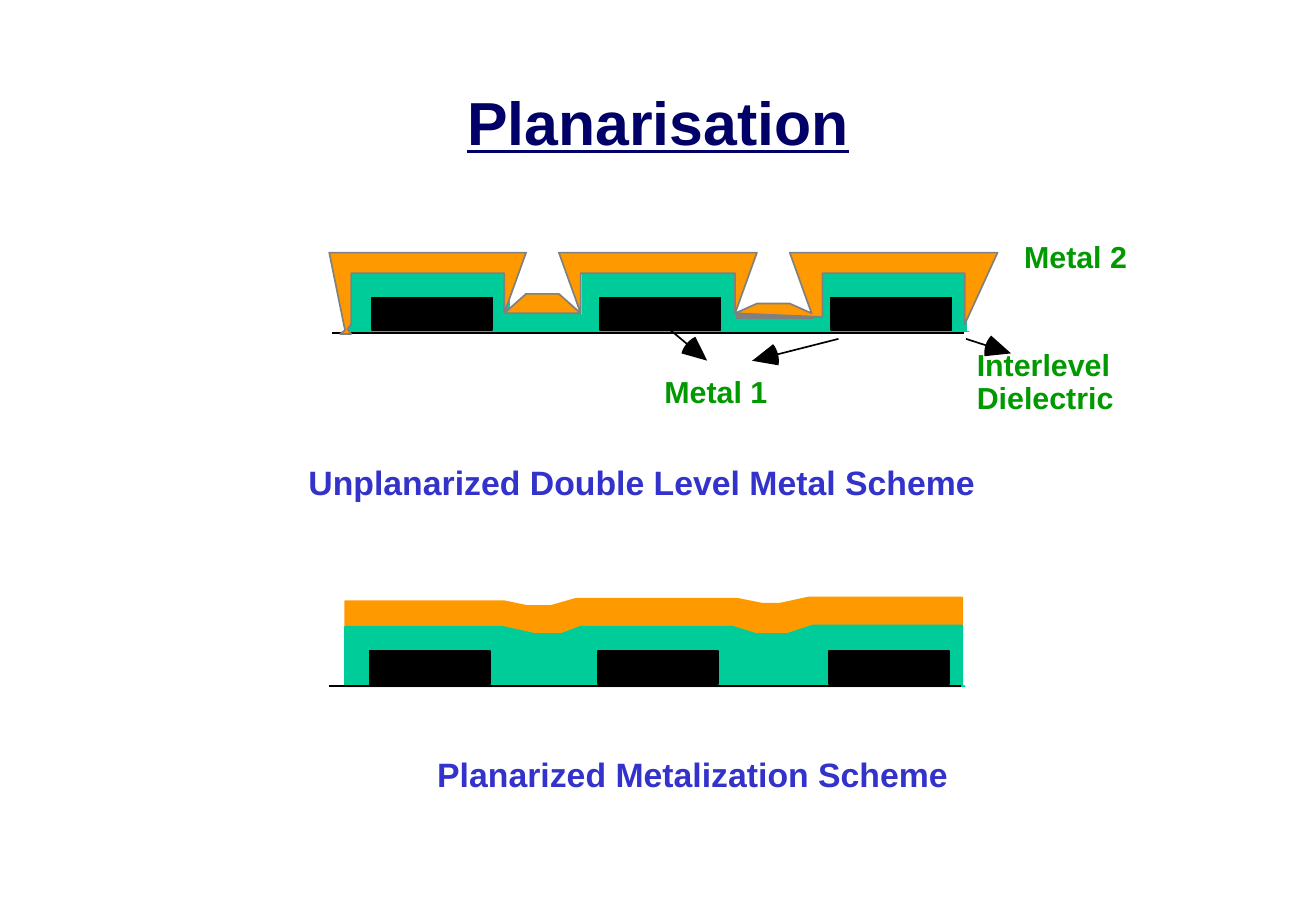
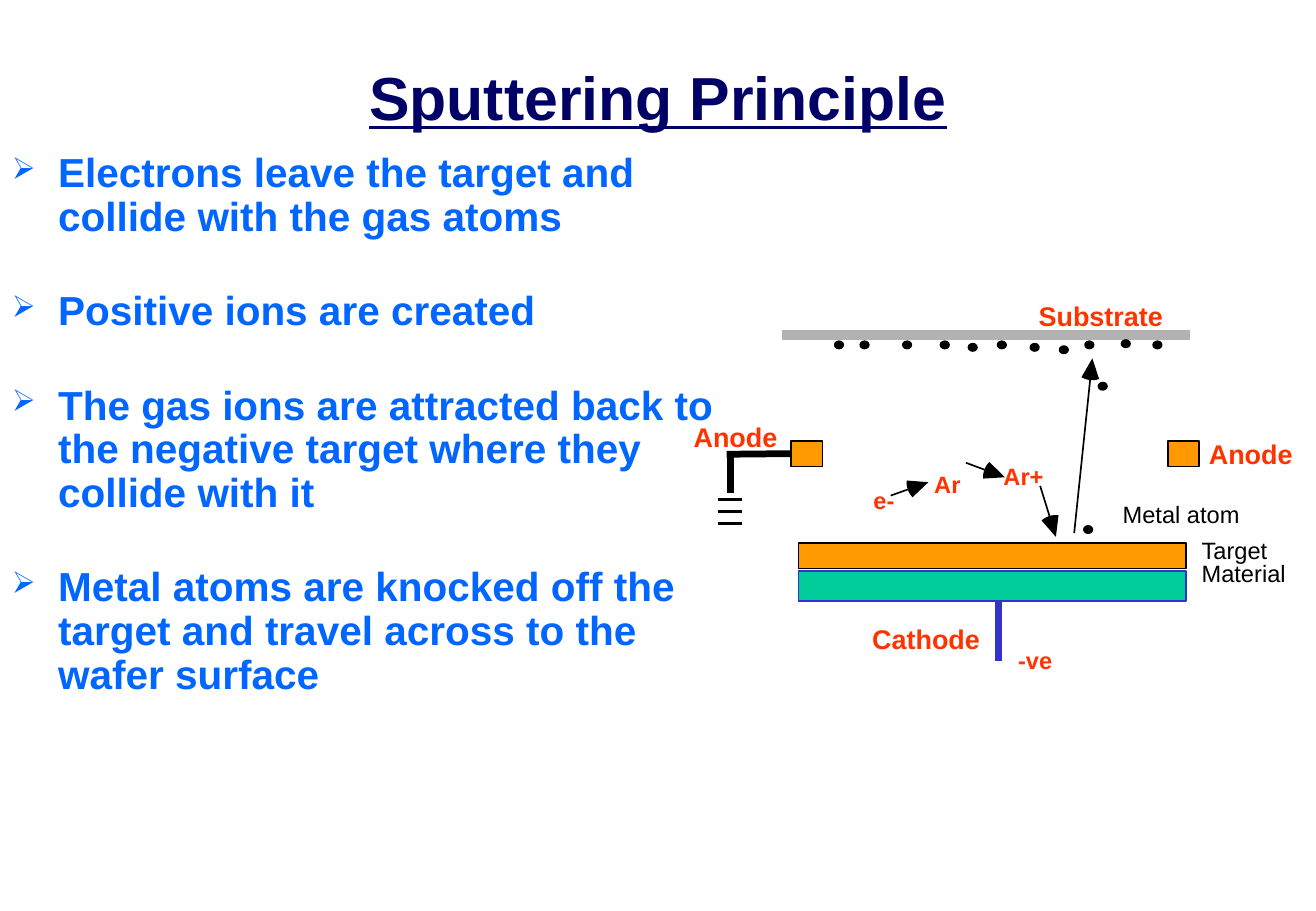
from dataclasses import dataclass
from math import atan2, cos, radians, sin

from lxml import etree
from pptx import Presentation
from pptx.dml.color import RGBColor
from pptx.enum.shapes import MSO_CONNECTOR, MSO_SHAPE
from pptx.enum.text import MSO_ANCHOR, PP_ALIGN
from pptx.oxml.ns import qn
from pptx.util import Inches, Pt

RECT, OVAL = MSO_SHAPE.RECTANGLE, MSO_SHAPE.OVAL
LINE = MSO_CONNECTOR.STRAIGHT
MIDDLE, CENTER = MSO_ANCHOR.MIDDLE, PP_ALIGN.CENTER
LEFT_SIDE = 1


@dataclass(frozen=True)
class Theme:
    font: str = "Arial"
    navy: str = "000066"
    blue: str = "0066FF"
    indigo: str = "3333CC"
    green: str = "009900"
    teal: str = "00CC99"
    orange: str = "FF9900"
    red: str = "FF3300"
    black: str = "000000"
    gray: str = "808080"
    silver: str = "B2B2B2"
    title: int = 36
    body: int = 24
    caption: int = 20
    label: int = 18
    medium: int = 16
    small: int = 14


T = Theme()


def rgb(code):
    return RGBColor.from_string(code)


def write(para, text, size, color, bold=True, under=False):
    run = para.add_run()
    run.text = text
    font = run.font
    font.name, font.size, font.bold = T.font, Pt(size), bold
    if under:
        font.underline = True
    font.color.rgb = rgb(color)


class Area:
    """A region of a slide; lengths are inches from its top left corner."""

    def __init__(self, slide, left, top):
        self.shapes, self.left, self.top = slide.shapes, left, top

    def spot(self, x, y):
        return Inches(self.left + x), Inches(self.top + y)

    def paint(self, shape, fill, edge):
        shape.shadow.inherit = False
        shape.fill.solid()
        shape.fill.fore_color.rgb = rgb(fill)
        shape.line.color.rgb = rgb(edge or fill)
        shape.line.width = Pt(1)
        return shape

    def box(self, x, y, wide, high, fill, edge=None, kind=RECT):
        shape = self.shapes.add_shape(
            kind, *self.spot(x, y), Inches(wide), Inches(high))
        return self.paint(shape, fill, edge)

    def film(self, points, fill, edge=None):
        """Draw a closed outline through the points."""
        spots = [self.spot(*point) for point in points]
        pen = self.shapes.build_freeform(*spots[0])
        pen.add_line_segments(spots[1:], close=True)
        return self.paint(pen.convert_to_shape(), fill, edge)

    def wire(self, start, end, color=T.black, width=1):
        line = self.shapes.add_connector(
            LINE, *self.spot(*start), *self.spot(*end))
        line.line.color.rgb = rgb(color)
        line.line.width = Pt(width)
        props = line._element.spPr
        etree.SubElement(props, qn("a:effectLst"))
        return line

    def arrow(self, start, tip, reach):
        """Draw a line with a wide, round-backed head of length reach."""
        x, y = tip
        angle = atan2(start[1] - y, start[0] - x)

        def back(turn, far):
            way = angle + radians(turn)
            return x + far * cos(way), y + far * sin(way)

        arc = [back(turn, reach) for turn in range(-24, 25, 6)]
        head = self.film([tip] + arc, T.black)
        head.line.fill.background()
        self.wire(start, back(0, reach / 3))

    def frame(self, x, y, wide, high):
        place = self.shapes.add_textbox(
            *self.spot(x, y), Inches(wide), Inches(high))
        place.text_frame.word_wrap = True
        return place.text_frame

    def label(self, text, x, y, wide, size, color, bold=True):
        frame = self.frame(x, y, wide, 0.4)
        write(frame.paragraphs[0], text, size, color, bold)


def title(slide, text, top):
    frame = Area(slide, 0.45, top).frame(0, 0, 9.93, 1.25)
    frame.vertical_anchor = MIDDLE
    para = frame.paragraphs[0]
    para.alignment = CENTER
    write(para, text, T.title, T.navy, under=True)


def bullet(para):
    props = para._p.get_or_add_pPr()
    indent = Inches(0.38)
    props.set("marL", str(indent))
    props.set("indent", str(-indent))
    tint = etree.SubElement(props, qn("a:buClr"))
    etree.SubElement(tint, qn("a:srgbClr"), val=T.blue)
    etree.SubElement(props, qn("a:buSzPct"), val="75000")
    etree.SubElement(props, qn("a:buChar"), char="➢")


def points(slide, left, top, texts):
    frame = Area(slide, left, top).frame(0, 0, 6, 4.92)
    for i, text in enumerate(texts):
        para = frame.add_paragraph() if i else frame.paragraphs[0]
        bullet(para)
        para.line_spacing = 0.9
        if i:
            para.space_before = Pt(30)
        write(para, text, T.body, T.blue)


def metal(area, x, floor):
    """Draw the wafer line and the three first-level metal blocks."""
    area.wire((x, floor), (x + 5.2, floor))
    for step in (0.33, 2.21, 4.11):
        area.box(x + step, floor - 0.29, 0.99, 0.27, T.black)


def rough(slide, left, top):
    """Draw the scheme without planarisation."""
    area = Area(slide, left, top)
    area.box(3.35, 0.59, 0.71, 0.07, T.gray)
    area.film([
        (0.16, 0.73), (0.16, 0.26), (1.49, 0.26), (1.49, 0.59),
        (2.1, 0.59), (2.1, 0.24), (3.35, 0.24), (3.35, 0.63),
        (4.01, 0.63), (4.01, 0.23), (5.25, 0.23), (5.25, 0.73),
        (5.27, 0.73)], T.teal)
    metal(area, 0.03, 0.74)
    for text, x, y in (
            ("Metal 2", 5.63, -0.09), ("Metal 1", 2.67, 1.02),
            ("Interlevel", 5.24, 0.8), ("Dielectric", 5.24, 1.07)):
        area.label(text, x, y, 1.5, T.label, T.green)
    for start, tip in (
            ((2.82, 0.72), (3.12, 0.97)),
            ((4.2, 0.79), (3.49, 0.97)),
            ((5.25, 0.79), (5.62, 0.91))):
        area.arrow(start, tip, 0.22)
    area.label("Unplanarized Double Level Metal Scheme",
               -0.26, 1.75, 6.23, T.caption, T.indigo)
    area.film([
        (0.1, 0.75), (0.14, 0.72), (0.01, 0.08), (1.63, 0.08),
        (1.45, 0.58), (1.63, 0.42), (1.9, 0.42), (2.08, 0.58),
        (1.9, 0.08), (3.53, 0.08), (3.35, 0.58), (3.53, 0.5),
        (3.8, 0.5), (3.98, 0.58), (3.8, 0.08), (5.51, 0.08),
        (5.24, 0.67), (5.24, 0.25), (4.07, 0.25), (4.07, 0.61),
        (3.35, 0.58), (3.35, 0.25), (2.08, 0.25), (2.08, 0.58),
        (1.45, 0.58), (1.45, 0.25), (0.19, 0.25), (0.19, 0.67),
        (0.16, 0.71), (0.19, 0.75)], T.orange, T.gray)


def smooth(slide, left, top):
    """Draw the planarized scheme."""
    area = Area(slide, left, top)
    area.film([
        (0.14, 0.36), (0.14, 0.05), (1.45, 0.05), (1.64, 0.09),
        (1.83, 0.09), (2.04, 0.03), (3.37, 0.03), (3.57, 0.07),
        (3.72, 0.07), (3.95, 0.02), (5.22, 0.02), (5.22, 0.36)],
        T.orange)
    area.film([
        (0.14, 0.75), (0.14, 0.26), (1.43, 0.26), (1.7, 0.32),
        (1.92, 0.32), (2.08, 0.26), (3.33, 0.26), (3.52, 0.32),
        (3.78, 0.32), (3.99, 0.25), (5.22, 0.25), (5.22, 0.75),
        (5.24, 0.75)], T.teal)
    metal(area, 0.01, 0.75)
    area.label("Planarized Metalization Scheme",
               0.8, 1.26, 4.6, T.caption, T.indigo)


def ground(area, anode):
    lead = area.wire((0.91, 1.34), (0.38, 1.34), width=4)
    lead.begin_connect(anode, LEFT_SIDE)
    area.wire((0.41, 1.32), (0.41, 1.66), width=4)
    for i in range(3):
        y = 1.71 + 0.1 * i
        area.wire((0.31, y), (0.51, y), width=2)


def chamber(slide, left, top):
    area = Area(slide, left, top)
    area.box(0.97, 2.3, 3.19, 0.25, T.teal, T.indigo)
    area.box(0.97, 2.07, 3.19, 0.21, T.orange, T.black)
    anodes = [area.box(x, 1.23, 0.26, 0.21, T.orange, T.black)
              for x in (0.91, 4.01)]
    area.box(0.84, 0.32, 3.35, 0.07, T.silver)
    area.wire((2.62, 2.56), (2.62, 3.04), T.indigo, 4)
    ground(area, anodes[0])
    for start, tip in (
            ((1.73, 1.68), (2.04, 1.57)),
            ((2.35, 1.41), (2.67, 1.53)),
            ((3.24, 1.99), (3.39, 0.55)),
            ((2.96, 1.6), (3.09, 2.02))):
        area.arrow(start, tip, 0.18)
    for x, y in (
            (1.27, 0.41), (1.48, 0.41), (1.83, 0.41), (2.14, 0.41),
            (2.37, 0.43), (2.61, 0.41), (2.88, 0.43), (3.12, 0.45),
            (3.33, 0.41), (3.63, 0.4), (3.89, 0.41), (3.44, 0.75),
            (3.32, 1.93)):
        area.box(x, y, 0.07, 0.06, T.black, kind=OVAL)
    for text, x, y, wide in (
            ("Anode", 4.25, 1.15, 0.95), ("Anode", 0.01, 1.01, 0.95),
            ("Cathode", 1.48, 2.68, 1.2), ("Substrate", 2.85, 0.02, 1.3)):
        area.label(text, x, y, wide, T.medium, T.red)
    for text, x, y in (
            ("-ve", 2.68, 2.87), ("e-", 1.49, 1.55),
            ("Ar", 1.99, 1.42), ("Ar+", 2.56, 1.35)):
        area.label(text, x, y, 0.7, T.small, T.red)
    for text, x, y, wide in (
            ("Metal atom", 3.54, 1.67, 1.3),
            ("Target", 4.19, 1.96, 1), ("Material", 4.19, 2.15, 1)):
        area.label(text, x, y, wide, T.small, T.black, False)


def main():
    deck = Presentation()
    deck.slide_width, deck.slide_height = Inches(10.83), Inches(7.5)
    blank = deck.slide_layouts[6]

    slide = deck.slides.add_slide(blank)
    title(slide, "Planarisation", 0.37)
    rough(slide, 2.7, 2)
    smooth(slide, 2.7, 4.9)

    slide = deck.slides.add_slide(blank)
    title(slide, "Sputtering Principle", 0.17)
    points(slide, 0, 1.21, (
        "Electrons leave the target and collide with the gas atoms",
        "Positive ions are created",
        "The gas ions are attracted back to the negative target "
        "where they collide with it",
        "Metal atoms are knocked off the target and travel across "
        "to the wafer surface"))
    chamber(slide, 5.6, 2.4)
    deck.save("out.pptx")


if __name__ == "__main__":
    main()
